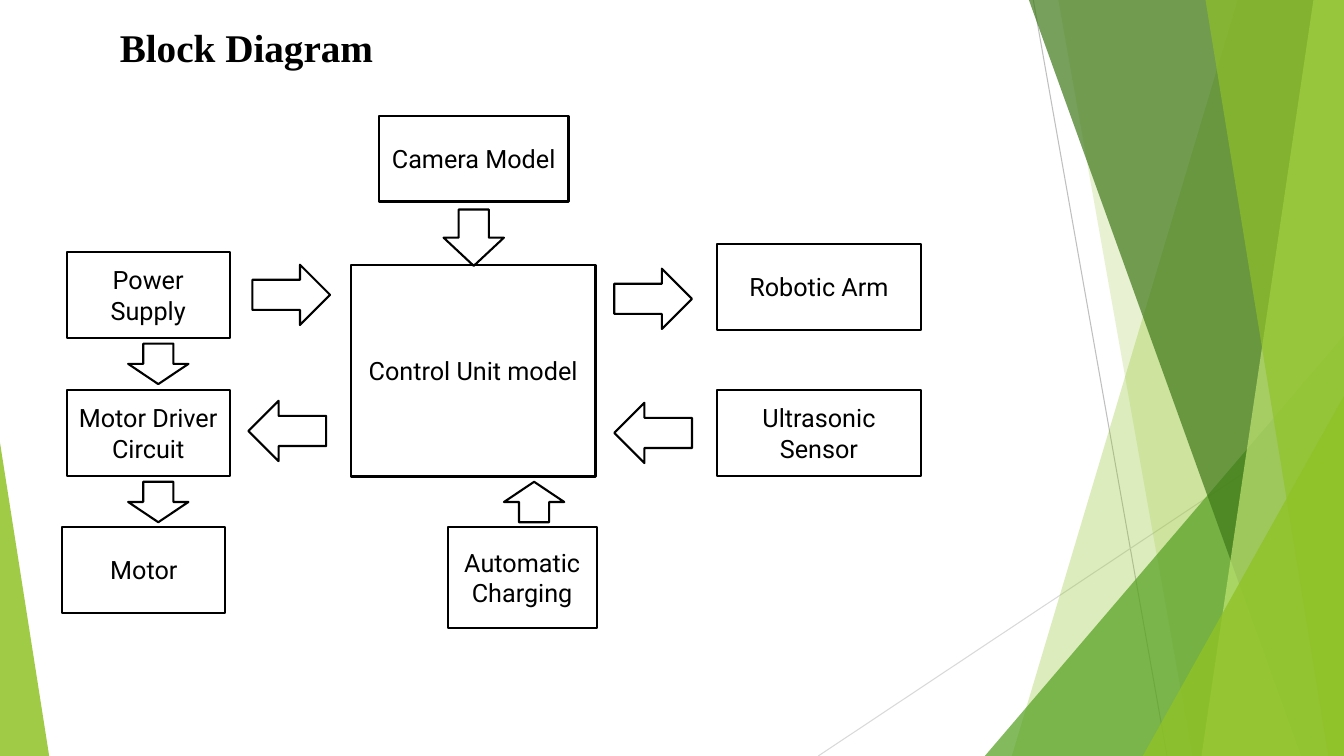
from lxml import etree
from pptx import Presentation
from pptx.dml.color import RGBColor
from pptx.enum.shapes import MSO_CONNECTOR, MSO_SHAPE
from pptx.enum.text import MSO_ANCHOR, MSO_AUTO_SIZE, PP_ALIGN
from pptx.oxml.ns import qn
from pptx.util import Cm, Pt

RECTANGLE = MSO_SHAPE.RECTANGLE
TRIANGLE = MSO_SHAPE.ISOSCELES_TRIANGLE
DOWN_ARROW = MSO_SHAPE.DOWN_ARROW
STRAIGHT = MSO_CONNECTOR.STRAIGHT
MIDDLE = MSO_ANCHOR.MIDDLE
CENTER = PP_ALIGN.CENTER
FIT_TEXT = MSO_AUTO_SIZE.SHAPE_TO_FIT_TEXT

# Content: lengths in cm
WIDTH, HEIGHT = 33.87, 19.05
TITLE = ("Block Diagram", 2.77, 0.46, 7.09, 1.45)

SIDE_W, LEFT_W, BLOCK_H = 5.16, 4.11, 2.16
BLOCKS = [  # text, left, top, width, height
    ("Control Unit model", 8.84, 6.68, 6.17, 5.33),
    ("Camera Model", 9.55, 2.92, 4.78, BLOCK_H),
    ("Robotic Arm", 18.06, 6.15, SIDE_W, BLOCK_H),
    ("Ultrasonic Sensor", 18.06, 9.83, SIDE_W, BLOCK_H),
    ("Power Supply", 1.68, 6.35, LEFT_W, BLOCK_H),
    ("Motor Driver Circuit", 1.68, 9.83, LEFT_W, BLOCK_H),
    ("Motor", 1.57, 13.28, LEFT_W, BLOCK_H),
    ("Automatic Charging", 11.28, 13.28, 3.76, 2.54),
]

DOWN, LEFT, UP, RIGHT = 0, 90, 180, 270
ARROW_W, SHORT, MEDIUM, LONG = 1.52, 1.02, 1.42, 1.96
ARROWS = [  # centre x, centre y, length, direction
    (11.94, 5.99, MEDIUM, DOWN),
    (16.46, 7.53, LONG, RIGHT),
    (16.46, 10.91, LONG, LEFT),
    (7.34, 7.43, LONG, RIGHT),
    (7.24, 10.86, LONG, LEFT),
    (3.99, 9.17, SHORT, DOWN),
    (3.99, 12.65, SHORT, DOWN),
    (13.46, 12.65, SHORT, UP),
]

RAYS = [  # start, end, colour
    ((26.04, 0), (29.41, HEIGHT), "ray"),
    ((WIDTH, 10.24), (20.62, HEIGHT), "pale_ray"),
]
# Panels run to the right edge: top x, bottom x.
# Triangles stand on the bottom edge: left, top, width, apex position.
FACETS = [  # kind, geometry, colour, opacity in percent
    ("panel", (31.19, 25.5), "lime", 30),
    ("panel", (26.67, 30.05), "lime", 20),
    ("triangle", (24.82, 8.46, 9.05, 1), "green", 72),
    ("panel", (25.93, 32.79), "forest", 70),
    ("panel", (33.1, 30.28), "pale_lime", 70),
    ("panel", (30.38, 33.48), "lime", 65),
    ("triangle", (28.8, 9.98, 5.07, 1), "lime", 80),
    ("triangle", (0, 11.15, 1.24, 0), "lime", 85),
]

THEME = {
    "colors": {
        "ink": "000000", "paper": "FFFFFF", "ray": "BFBFBF", "pale_ray": "D9D9D9",
        "lime": "90C226", "green": "54A021", "forest": "3F7819", "pale_lime": "C0E474",
    },
    "title": {"name": "Times New Roman", "size": Pt(28), "bold": True},
    "label": {"name": "Roboto", "size": Pt(18), "bold": False},
    "outline": Pt(1.5),
    "ray_width": Pt(0.75),
}


def color(key):
    return RGBColor.from_string(THEME["colors"][key])


def apply_format(target, values):
    for key, value in values.items():
        setattr(target, key, value)


def write(frame, text, style):
    run = frame.paragraphs[0].add_run()
    run.text = text
    apply_format(run.font, THEME[style])
    run.font.color.rgb = color("ink")


def paint(shape, fill, opacity=100, outlined=False):
    shape.shadow.inherit = False
    shape.fill.solid()
    shape.fill.fore_color.rgb = color(fill)
    if opacity < 100:
        swatch = shape.fill._xPr.find(qn("a:solidFill"))[0]
        etree.SubElement(swatch, qn("a:alpha")).set("val", str(opacity * 1000))
    if outlined:
        shape.line.color.rgb = color("ink")
        shape.line.width = THEME["outline"]
    else:
        shape.line.fill.background()


def add_preset(shapes, preset, *box):
    return shapes.add_shape(preset, *map(Cm, box))


def add_ray(shapes, start, end, tint):
    ray = shapes.add_connector(STRAIGHT, *map(Cm, start + end))
    ray.line.color.rgb = color(tint)
    ray.line.width = THEME["ray_width"]
    etree.SubElement(ray._element.spPr, qn("a:effectLst"))


def add_facet(shapes, kind, geometry, tint, opacity):
    if kind == "panel":
        top_x, bottom_x = geometry
        outline = shapes.build_freeform(Cm(top_x), Cm(0))
        corners = [(WIDTH, 0), (WIDTH, HEIGHT), (bottom_x, HEIGHT)]
        outline.add_line_segments([(Cm(x), Cm(y)) for x, y in corners])
        facet = outline.convert_to_shape()
    else:
        left, top, width, apex = geometry
        facet = add_preset(shapes, TRIANGLE, left, top, width, HEIGHT - top)
        facet.adjustments[0] = apex
    paint(facet, tint, opacity)


def add_title(shapes, text, *box):
    frame = shapes.add_textbox(*map(Cm, box)).text_frame
    apply_format(frame, {"word_wrap": False, "auto_size": FIT_TEXT})
    write(frame, text, "title")


def add_block(shapes, text, *box):
    block = add_preset(shapes, RECTANGLE, *box)
    paint(block, "paper", outlined=True)
    apply_format(block.text_frame, {"word_wrap": True, "vertical_anchor": MIDDLE})
    block.text_frame.paragraphs[0].alignment = CENTER
    write(block.text_frame, text, "label")


def add_arrow(shapes, x, y, length, direction):
    arrow = add_preset(shapes, DOWN_ARROW, x - ARROW_W / 2, y - length / 2, ARROW_W, length)
    arrow.rotation = direction
    paint(arrow, "paper", outlined=True)


def main():
    deck = Presentation()
    apply_format(deck, {"slide_width": Cm(WIDTH), "slide_height": Cm(HEIGHT)})
    shapes = deck.slides.add_slide(deck.slide_layouts[6]).shapes

    # Backdrop
    for ray in RAYS:
        add_ray(shapes, *ray)
    for facet in FACETS:
        add_facet(shapes, *facet)

    # Diagram
    add_title(shapes, *TITLE)
    for block in BLOCKS:
        add_block(shapes, *block)
    for arrow in ARROWS:
        add_arrow(shapes, *arrow)

    deck.save("out.pptx")


if __name__ == "__main__":
    main()
